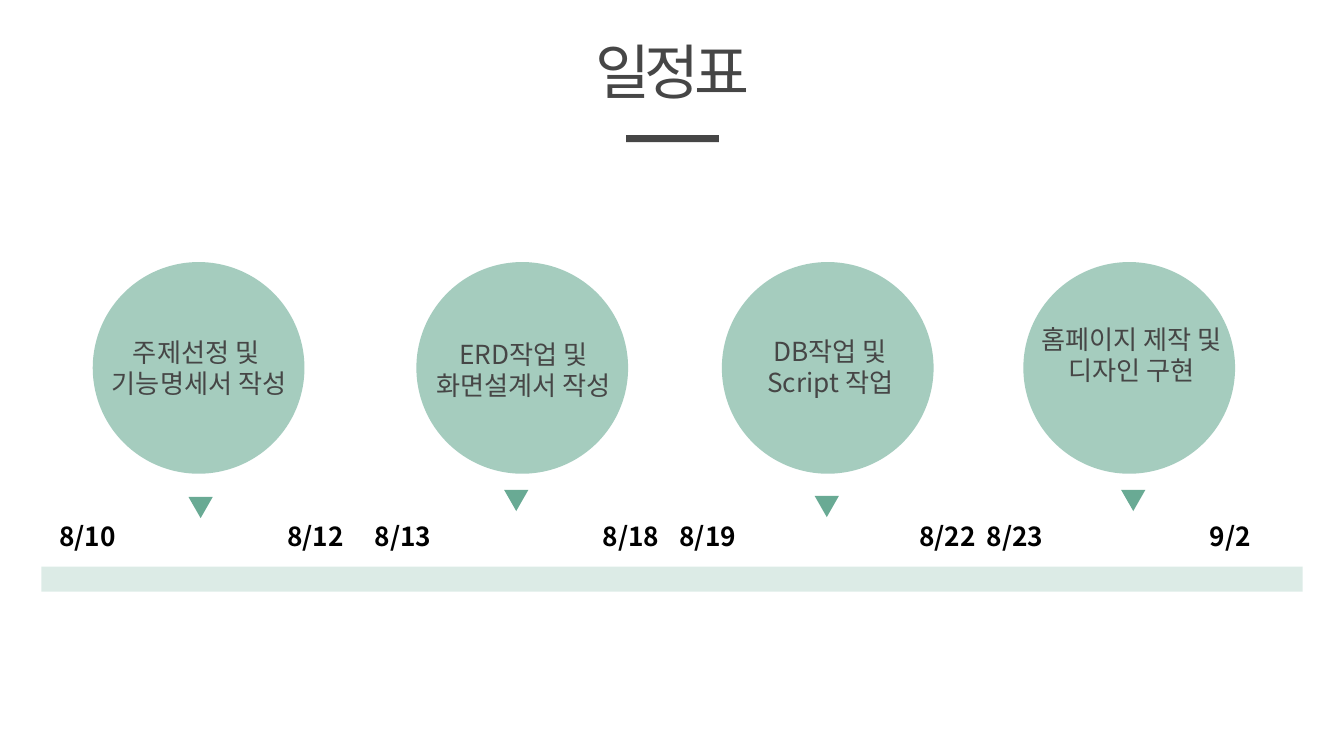
import pptx
import pptx.util
import pptx.dml.color
import pptx.enum.shapes
import pptx.enum.text
from lxml import etree
from pptx.util import Inches

FONT = "Noto Sans CJK KR"
GREEN, GRAY, BLACK = "69AA94", "464646", "000000"
SHAPES = pptx.enum.shapes.MSO_SHAPE
ALIGN = pptx.enum.text.PP_ALIGN
DRAWING = "{http://schemas.openxmlformats.org/drawingml/2006/main}"


def add_block(kind, left, top, width, height, color, opacity=100):
    block = page.shapes.add_shape(kind, Inches(left), Inches(top), Inches(width), Inches(height))
    block.shadow.inherit = False
    block.fill.solid()
    block.fill.fore_color.rgb = pptx.dml.color.RGBColor.from_string(color)
    block.line.fill.background()
    if opacity < 100:
        shade = block.fill._xPr.find(f".//{DRAWING}srgbClr")
        etree.SubElement(shade, DRAWING + "alpha", val=str(opacity * 1000))
    return block


def write_text(box, text, size=18.7, color=GRAY, bold=False, align=ALIGN.CENTER, wrap=True, spacing=0):
    frame = box.text_frame
    frame.text = text
    frame.word_wrap = wrap
    frame.auto_size = pptx.enum.text.MSO_AUTO_SIZE.NONE
    frame.vertical_anchor = pptx.enum.text.MSO_ANCHOR.MIDDLE
    for para in frame.paragraphs:
        para.alignment = align
        for span in para.runs:
            span.font.size = pptx.util.Pt(size)
            span.font.bold = bold
            span.font.name = FONT
            span.font.color.rgb = pptx.dml.color.RGBColor.from_string(color)
            marks = span._r.get_or_add_rPr()
            etree.SubElement(marks, DRAWING + "ea", typeface=FONT)
            if spacing:
                marks.set("spc", str(spacing * 100))


deck = pptx.Presentation()
deck.slide_width, deck.slide_height = Inches(13.33), Inches(7.5)
page = deck.slides.add_slide(deck.slide_layouts[5])

title = page.shapes.title
title.left, title.top, title.width, title.height = Inches(5.2), Inches(0.29), Inches(2.94), Inches(0.82)
write_text(title, "일정표", size=42.7, spacing=-4)
add_block(SHAPES.RECTANGLE, 6.21, 1.34, 0.92, 0.07, GRAY)
add_block(SHAPES.RECTANGLE, 0.41, 5.62, 12.51, 0.25, GREEN, opacity=23)

stages = [
    ("주제선정 및 \n기능명세서 작성", 0.92, (0.89, 3.28), (1.87, 4.93), [("8/10", 0.49), ("8/12", 2.75)]),
    ("ERD작업 및\n화면설계서 작성", 4.13, (4.11, 3.3), (5, 4.86), [("8/13", 3.62), ("8/18", 5.88)]),
    ("DB작업 및\nScript 작업", 7.16, (7.15, 3.27), (8.08, 4.92), [("8/19", 6.64), ("8/22", 9.02)]),
    ("홈페이지 제작 및\n디자인 구현", 10.15, (10.14, 3.15), (11.12, 4.86), [("8/23", 9.69), ("9/2", 11.9)]),
]
for label, circle_left, label_at, pointer_at, dates in stages:
    add_block(SHAPES.OVAL, circle_left, 2.6, 2.1, 2.1, GREEN, opacity=60)
    pointer = add_block(SHAPES.ISOSCELES_TRIANGLE, *pointer_at, 0.24, 0.21, GREEN)
    pointer.rotation = 180
    label_left, label_top = label_at
    box = page.shapes.add_textbox(Inches(label_left), Inches(label_top), Inches(2.17), Inches(0.73))
    write_text(box, label)
    for date, date_left in dates:
        date_width = 0.78 if len(date) == 4 else 0.62
        box = page.shapes.add_textbox(Inches(date_left), Inches(5.11), Inches(date_width), Inches(0.42))
        write_text(box, date, color=BLACK, bold=True, align=ALIGN.LEFT, wrap=False)

deck.save("out.pptx")
